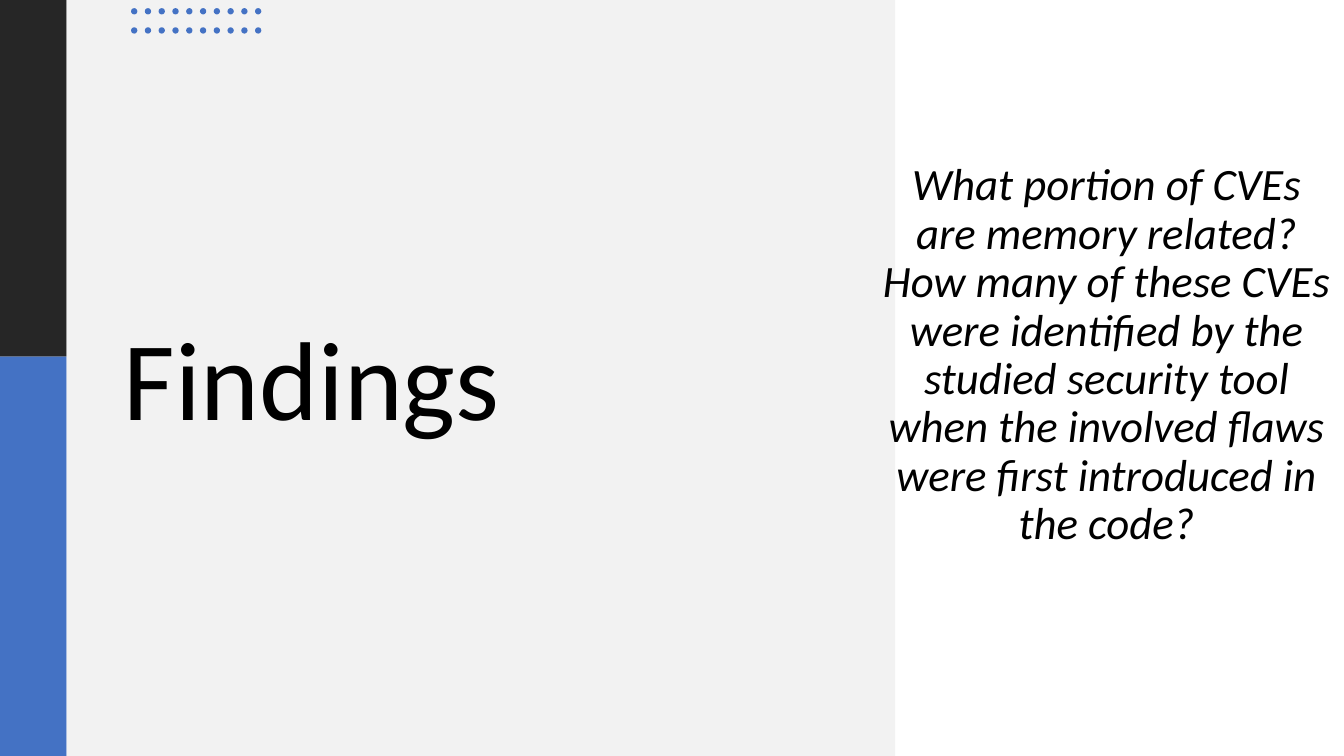
from dataclasses import dataclass

import pptx
import pptx.dml.color
import pptx.enum.shapes
import pptx.enum.text
import pptx.shapes.shapetree
import pptx.slide
import pptx.util

Pt = pptx.util.Pt
Shape = pptx.enum.shapes.MSO_SHAPE
Align = pptx.enum.text.PP_ALIGN


@dataclass(frozen=True)
class Theme:
    font: str = "Calibri"
    title_size: float = 80
    question_size: float = 32
    text: str = "000000"
    dark: str = "262626"
    accent: str = "4472C4"
    pale: str = "F2F2F2"


@dataclass(frozen=True)
class Box:
    left: float
    top: float
    width: float
    height: float

    def lengths(self) -> tuple[Pt, Pt, Pt, Pt]:
        return Pt(self.left), Pt(self.top), Pt(self.width), Pt(self.height)


@dataclass(frozen=True)
class Panel:
    box: Box
    color: str


@dataclass(frozen=True)
class Caption:
    box: Box
    words: str
    size: float
    align: Align
    italic: bool = False


THEME = Theme()
SLIDE_WIDTH, SLIDE_HEIGHT = 960, 540
STRIPE_WIDTH, STRIPE_SPLIT = 47.7, 254.7

PANELS = [
    Panel(Box(0, 0, STRIPE_WIDTH, STRIPE_SPLIT), THEME.dark),
    Panel(Box(0, STRIPE_SPLIT, STRIPE_WIDTH, SLIDE_HEIGHT - STRIPE_SPLIT), THEME.accent),
    Panel(Box(STRIPE_WIDTH, 0, 591.7, SLIDE_HEIGHT), THEME.pale),
]

CAPTIONS = [
    Caption(Box(81.4, 90.7, 520.6, 367.2), "Findings", THEME.title_size, Align.LEFT),
    Caption(
        Box(620.6, 86.4, 339.8, 335.5),
        "What portion of CVEs are memory related? How many of these CVEs were "
        "identified by the studied security tool when the involved flaws were "
        "first introduced in the code?",
        THEME.question_size,
        Align.CENTER,
        italic=True,
    ),
]

DOT_COLUMNS, DOT_ROWS = 10, 2
DOT_LEFT, DOT_TOP, DOT_SIZE = 93.6, 5.8, 4.5
DOT_COLUMN_STEP, DOT_ROW_STEP = 9.84, 13.7


def add_filled(shapes: pptx.shapes.shapetree.SlideShapes, kind: Shape, box: Box, color: str) -> None:
    shape = shapes.add_shape(kind, *box.lengths())
    shape.shadow.inherit = False
    shape.fill.solid()
    shape.fill.fore_color.rgb = pptx.dml.color.RGBColor.from_string(color)
    shape.line.fill.background()


def add_caption(slide: pptx.slide.Slide, caption: Caption) -> None:
    frame = slide.shapes.add_textbox(*caption.box.lengths()).text_frame
    frame.word_wrap = True
    frame.vertical_anchor = pptx.enum.text.MSO_ANCHOR.MIDDLE
    paragraph = frame.paragraphs[0]
    paragraph.alignment = caption.align
    paragraph.line_spacing = 0.9
    run = paragraph.add_run()
    run.text = caption.words
    run.font.name = THEME.font
    run.font.size = Pt(caption.size)
    run.font.italic = caption.italic
    run.font.color.rgb = pptx.dml.color.RGBColor.from_string(THEME.text)


def add_dot_grid(slide: pptx.slide.Slide) -> None:
    dots = slide.shapes.add_group_shape().shapes
    for column in range(DOT_COLUMNS):
        for row in range(DOT_ROWS):
            left = DOT_LEFT + column * DOT_COLUMN_STEP
            top = DOT_TOP + row * DOT_ROW_STEP
            add_filled(dots, Shape.OVAL, Box(left, top, DOT_SIZE, DOT_SIZE), THEME.accent)


def main() -> None:
    presentation = pptx.Presentation()
    presentation.slide_width = Pt(SLIDE_WIDTH)
    presentation.slide_height = Pt(SLIDE_HEIGHT)
    slide = presentation.slides.add_slide(presentation.slide_layouts[6])
    for panel in PANELS:
        add_filled(slide.shapes, Shape.RECTANGLE, panel.box, panel.color)
    for caption in CAPTIONS:
        add_caption(slide, caption)
    add_dot_grid(slide)
    presentation.save("out.pptx")


if __name__ == "__main__":
    main()
